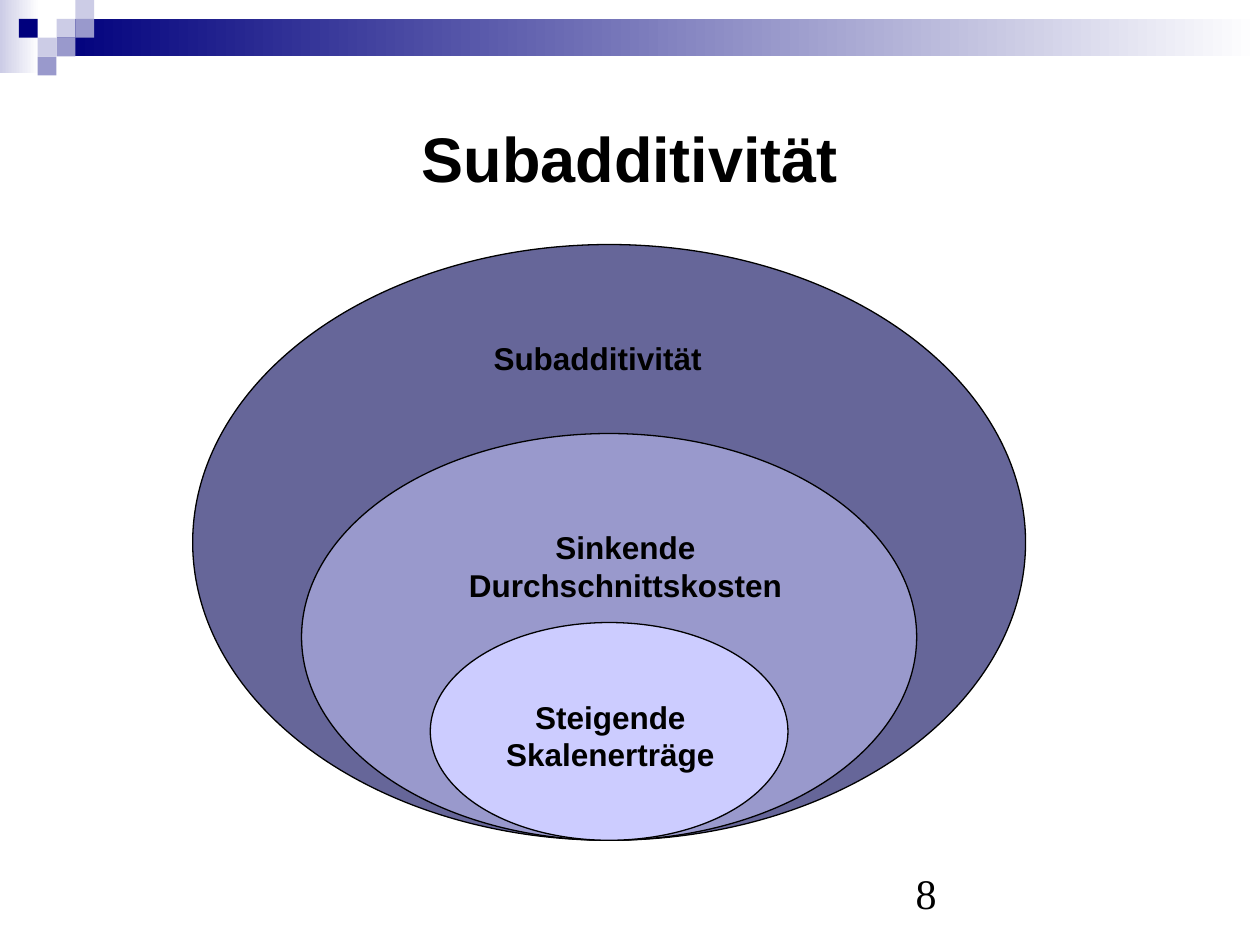
from pptx import Presentation
from pptx.dml.color import RGBColor
from pptx.enum.shapes import MSO_SHAPE
from pptx.enum.text import MSO_ANCHOR, PP_ALIGN
from pptx.util import Cm, Pt

RECT, OVAL = MSO_SHAPE.RECTANGLE, MSO_SHAPE.OVAL
LEFT, MID = PP_ALIGN.LEFT, PP_ALIGN.CENTER
TOP, CENTER, BASE = MSO_ANCHOR.TOP, MSO_ANCHOR.MIDDLE, MSO_ANCHOR.BOTTOM

COLORS = {
    "navy": "00007D", "mist": "CCCCE6", "lilac": "9999CC", "white": "FFFFFF",
    "dusk": "666699", "pale": "CCCCFF", "black": "000000",
}
HEAD = {"name": "Arial", "size": Pt(36), "bold": True}
LABEL = {"name": "Arial", "size": Pt(18), "bold": True}
NUMBER = {"name": "Times New Roman", "size": Pt(24), "bold": False}

UNIT = 0.38  # side of a header square, in cm
# column, row and colour of each header square
SQUARES = [
    (3, 1, "mist"), (4, 0, "mist"), (4, 1, "lilac"), (2, 2, "mist"),
    (1, 1, "navy"), (3, 2, "lilac"), (2, 3, "lilac"),
]
# the ovals share their middle axis and their lowest point
AXIS, FLOOR = 12.28, 16.94
OVALS = [(16.79, 12.01, "dusk"), (12.4, 8.2, "lilac"), (7.21, 4.39, "pale")]
LABELS = [
    ("Subadditivität", (9.7, 6.71, 5.21, 1.02), LEFT),
    ("Sinkende Durchschnittskosten", (8.71, 10.52, 7.8, 1.78), MID),
    ("Steigende Skalenerträge", (9.7, 13.94, 5.21, 1.78), MID),
]


def color(key):
    return RGBColor.from_string(COLORS[key])


def add_form(slide, kind, box, fill=None, line=None):
    form = slide.shapes.add_shape(kind, *map(Cm, box))
    form.shadow.inherit = False
    if fill:
        form.fill.solid()
        form.fill.fore_color.rgb = color(fill)
    if line:
        form.line.color.rgb = color(line)
        form.line.width = Pt(0.75)
    else:
        form.line.fill.background()
    return form


def add_fade(slide, box, start):
    fill = add_form(slide, RECT, box).fill
    fill.gradient()
    fill.gradient_angle = 0
    for stop, key in zip(fill.gradient_stops, (start, "white")):
        stop.color.rgb = color(key)


def set_text(shape, text, style, align, anchor, before=0):
    frame = shape.text_frame
    frame.word_wrap = True
    frame.vertical_anchor = anchor
    para = frame.paragraphs[0]
    para.alignment = align
    para.space_before = Pt(before)
    run = para.add_run()
    run.text = text
    for name, value in style.items():
        setattr(run.font, name, value)
    run.font.color.rgb = color("black")


def add_text(slide, box, *args):
    set_text(slide.shapes.add_textbox(*map(Cm, box)), *args)


def add_title(slide, text, box):
    title = slide.shapes.title
    for name, value in zip(("left", "top", "width", "height"), box):
        setattr(title, name, Cm(value))
    set_text(title, text, HEAD, MID, CENTER)


def main():
    deck = Presentation()
    deck.slide_width, deck.slide_height = Cm(25.4), Cm(19.05)
    slide = deck.slides.add_slide(deck.slide_layouts[5])

    # Header band
    add_fade(slide, (0, 0, 0.79, 1.47), "mist")
    add_fade(slide, (3 * UNIT, UNIT, 25.4 - 3 * UNIT, 2 * UNIT), "navy")
    for col, row, fill in SQUARES:
        add_form(slide, RECT, (col * UNIT, row * UNIT, UNIT, UNIT), fill)

    # Nested ovals
    for wide, high, fill in OVALS:
        box = (AXIS - wide / 2, FLOOR - high, wide, high)
        add_form(slide, OVAL, box, fill, "black")

    # Text
    for text, box, align in LABELS:
        add_text(slide, box, text, LABEL, align, TOP, 11.2)
    add_title(slide, "Subadditivität", (1.27, 1.27, 22.86, 3.81))
    add_text(slide, (18.21, 17.35, 5.92, 1.27), "8", NUMBER, LEFT, BASE)

    deck.save("out.pptx")


if __name__ == "__main__":
    main()
